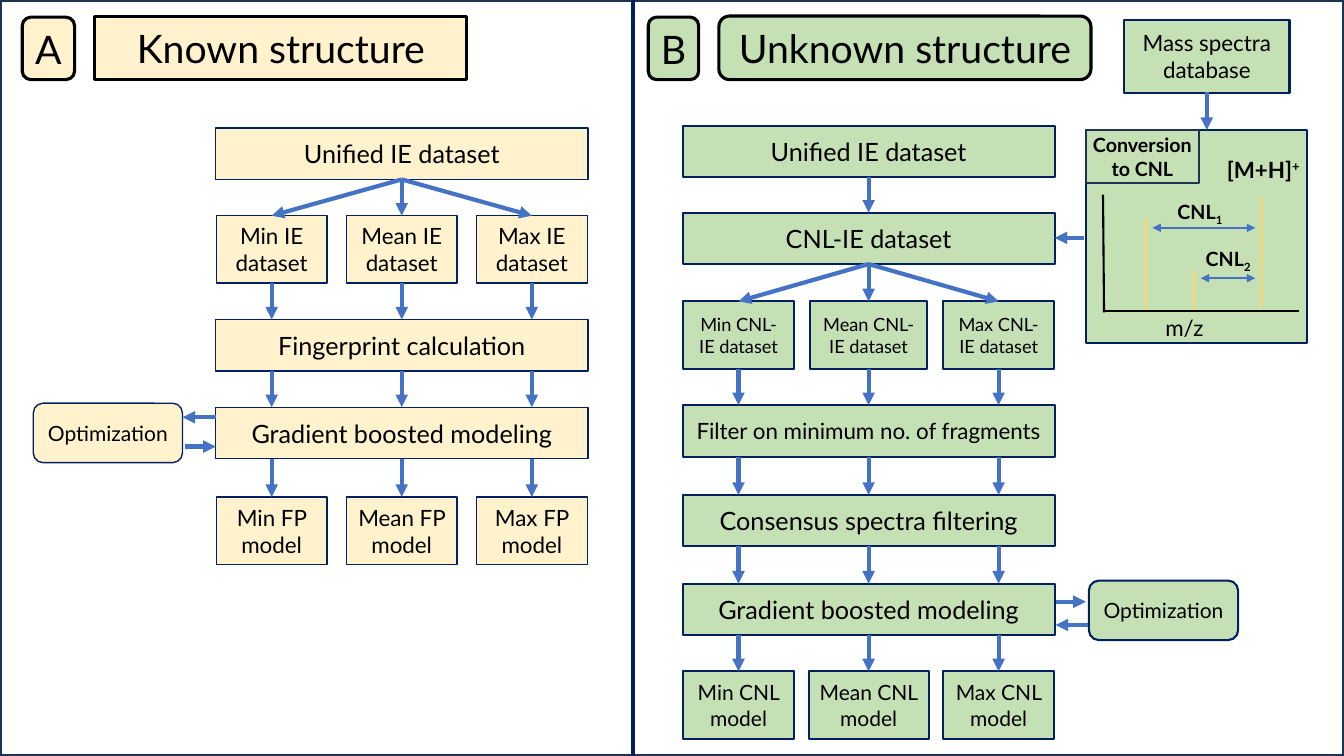
from dataclasses import dataclass
from enum import Enum

from lxml.etree import SubElement
from pptx import Presentation
from pptx.dml.color import RGBColor
from pptx.enum.shapes import MSO_CONNECTOR, MSO_SHAPE
from pptx.enum.text import MSO_ANCHOR, MSO_AUTO_SIZE, PP_ALIGN
from pptx.oxml import parse_xml
from pptx.oxml.ns import nsdecls, qn
from pptx.util import Inches, Pt

FONT = "Lato"
BLACK = RGBColor(0x00, 0x00, 0x00)
NAVY = RGBColor(0x00, 0x20, 0x60)
FRAME_NAVY = RGBColor(0x1E, 0x32, 0x56)
BLUE = RGBColor(0x44, 0x72, 0xC4)
GOLD = RGBColor(0xFF, 0xD9, 0x66)
CREAM = RGBColor(0xFF, 0xF2, 0xCC)
GREEN = RGBColor(0xC5, 0xE0, 0xB4)

BAR_WIDTH, BAR_HEIGHT = 3.69, 0.51
CELL_WIDTH, CELL_HEIGHT = 1.1, 0.67
COLUMN_STEP = 1.29
OPTIMIZATION_WIDTH, OPTIMIZATION_HEIGHT = 1.48, 0.59


class Link(Enum):
    """How a row is reached from the row above it."""
    NONE = 0
    SINGLE = 1
    FAN = 2
    COLUMNS = 3


@dataclass(frozen=True)
class Row:
    labels: tuple[str, ...]
    top: float
    size: float
    link: Link = Link.COLUMNS
    middle_width: float = CELL_WIDTH

    @property
    def height(self) -> float:
        return BAR_HEIGHT if len(self.labels) == 1 else CELL_HEIGHT


@dataclass(frozen=True)
class Workflow:
    left: float
    fill: RGBColor
    line_width: float
    rows: tuple[Row, ...]

    @property
    def columns(self) -> list[float]:
        centre = self.left + BAR_WIDTH / 2
        return [centre + step * COLUMN_STEP for step in (-1, 0, 1)]


@dataclass(frozen=True)
class Line:
    start: tuple[float, float]
    end: tuple[float, float]
    color: RGBColor = BLUE
    width: float = 3
    head: bool = False
    tail: bool = True


@dataclass(frozen=True)
class PeakLabel:
    left: float
    top: float
    width: float
    text: str
    script: str = ""
    baseline: int = -25000
    size: float = 14
    bold: bool = True


KNOWN = Workflow(2.14, CREAM, 1, (
    Row(("Unified IE dataset",), 1.27, 18, Link.NONE),
    Row(("Min IE dataset", "Mean IE dataset", "Max IE dataset"), 2.14, 16, Link.FAN),
    Row(("Fingerprint calculation",), 3.17, 18),
    Row(("Gradient boosted modeling",), 4.04, 18),
    Row(("Min FP model", "Mean FP model", "Max FP model"), 4.93, 16),
))
UNKNOWN = Workflow(6.77, GREEN, 1.5, (
    Row(("Unified IE dataset",), 1.25, 18, Link.NONE),
    Row(("CNL-IE dataset",), 2.11, 18, Link.SINGLE),
    Row(("Min CNL-IE dataset", "Mean CNL-IE dataset", "Max CNL-IE dataset"),
        2.99, 13, Link.FAN, 1.16),
    Row(("Filter on minimum no. of fragments",), 4.02, 16),
    Row(("Consensus spectra filtering",), 4.91, 18),
    Row(("Gradient boosted modeling",), 5.79, 18),
    Row(("Min CNL model", "Mean CNL model", "Max CNL model"), 6.66, 15,
        middle_width=1.19),
))
SIDE_ARROWS = (
    Line((2.14, 4.14), (1.81, 4.14)),
    Line((1.84, 4.43), (2.14, 4.43)),
    Line((10.75, 2.36), (10.46, 2.36)),
    Line((11.97, 0.91), (11.97, 1.29)),
    Line((10.79, 6.2), (10.47, 6.2)),
    Line((10.47, 5.97), (10.77, 5.97)),
)
SPECTRUM_LINES = (
    Line((10.94, 1.93), (10.95, 3.1), BLACK, 1.5, tail=False),
    Line((12.88, 3.09), (10.96, 3.09), BLACK, 1.5, tail=False),
    Line((12.51, 1.94), (12.51, 3.05), GOLD, 1.5, tail=False),
    Line((11.84, 2.69), (11.84, 3.08), GOLD, 1.5, tail=False),
    Line((11.37, 2.17), (11.37, 3.08), GOLD, 1.5, tail=False),
    Line((12.45, 2.26), (11.43, 2.26), width=1.5, head=True),
    Line((12.45, 2.76), (11.91, 2.76), width=1.5, head=True),
)
SPECTRUM_LABELS = (
    PeakLabel(11.46, 3.07, 0.59, "m/z", size=16, bold=False),
    PeakLabel(11.58, 1.93, 0.66, "CNL", "1"),
    PeakLabel(11.86, 2.4, 0.66, "CNL", "2"),
    PeakLabel(12.07, 1.5, 0.94, "[M+H]", "+", 30000, 16),
)


def add_run(paragraph, text: str, size: float, bold: bool = False):
    run = paragraph.add_run()
    run.text = text
    run.font.name = FONT
    run.font.size = Pt(size)
    run.font.bold = bold
    run.font.color.rgb = BLACK
    return run


def style_box(shape, fill: RGBColor, line: RGBColor, line_width: float,
              text: str = "", size: float = 18, bold: bool = False) -> None:
    shape.fill.solid()
    shape.fill.fore_color.rgb = fill
    shape.line.color.rgb = line
    shape.line.width = Pt(line_width)
    if text:
        frame = shape.text_frame
        frame.word_wrap = True
        frame.auto_size = MSO_AUTO_SIZE.NONE
        frame.vertical_anchor = MSO_ANCHOR.MIDDLE
        frame.paragraphs[0].alignment = PP_ALIGN.CENTER
        add_run(frame.paragraphs[0], text, size, bold)


def add_box(slide, left: float, top: float, width: float, height: float,
            kind: MSO_SHAPE = MSO_SHAPE.RECTANGLE):
    box = slide.shapes.add_shape(kind, Inches(left), Inches(top), Inches(width), Inches(height))
    box.shadow.inherit = False
    return box


def add_line(slide, line: Line) -> None:
    connector = slide.shapes.add_connector(
        MSO_CONNECTOR.STRAIGHT, *map(Inches, (*line.start, *line.end)))
    connector.line.color.rgb = line.color
    connector.line.width = Pt(line.width)
    stroke = connector.line._get_or_add_ln()
    for shown, tag in ((line.head, "a:headEnd"), (line.tail, "a:tailEnd")):
        if shown:
            SubElement(stroke, qn(tag), type="triangle")
    SubElement(connector._element.spPr, qn("a:effectLst"))


def add_title(slide) -> None:
    """Give the title placeholder the rounded outline of a panel heading."""
    title = slide.shapes.title
    title.left, title.top, title.width, title.height = map(Inches, (0.94, 0.16, BAR_WIDTH, 0.63))
    title._element.spPr.append(parse_xml(
        f'<a:prstGeom {nsdecls("a")} prst="roundRect"><a:avLst/></a:prstGeom>'))
    style_box(title, CREAM, BLACK, 2.25, "Known structure", 28)


def add_workflow(slide, flow: Workflow) -> None:
    columns = flow.columns
    centre = columns[1]
    bottom = 0.0
    for row in flow.rows:
        if len(row.labels) == 1:
            cells = [(centre, BAR_WIDTH)]
        else:
            cells = list(zip(columns, (CELL_WIDTH, row.middle_width, CELL_WIDTH)))
        for label, (middle, width) in zip(row.labels, cells):
            box = add_box(slide, middle - width / 2, row.top, width, row.height)
            style_box(box, flow.fill, NAVY, flow.line_width, label, row.size)
        ends = {Link.NONE: [], Link.SINGLE: [centre]}.get(row.link, columns)
        for end in ends:
            start = centre if row.link is Link.FAN else end
            add_line(slide, Line((start, bottom), (end, row.top)))
        bottom = row.top + row.height


def add_spectrum(slide) -> None:
    style_box(add_box(slide, 10.77, 1.29, 2.19, 2.11), GREEN, NAVY, 1.5)
    caption = add_box(slide, 10.77, 1.29, 1.12, 0.53)
    style_box(caption, GREEN, FRAME_NAVY, 1.5, "Conversion to CNL", 14, True)
    caption.text_frame.margin_left = caption.text_frame.margin_right = Inches(0.03)
    for line in SPECTRUM_LINES:
        add_line(slide, line)
    for label in SPECTRUM_LABELS:
        box = slide.shapes.add_textbox(*map(Inches, (label.left, label.top, label.width, 0.35)))
        box.text_frame.word_wrap = False
        paragraph = box.text_frame.paragraphs[0]
        add_run(paragraph, label.text, label.size, label.bold)
        if label.script:
            script = add_run(paragraph, label.script, label.size, label.bold)
            script._r.get_or_add_rPr().set("baseline", str(label.baseline))


def main() -> None:
    deck = Presentation()
    deck.slide_width, deck.slide_height = Inches(13.33), Inches(7.5)
    slide = deck.slides.add_slide(deck.slide_layouts[5])
    add_title(slide)
    frame = add_box(slide, 0, 0, 13.33, 7.5)
    frame.fill.background()
    frame.line.color.rgb = FRAME_NAVY
    frame.line.width = Pt(3)
    add_line(slide, Line((6.28, 0), (6.28, 7.5), NAVY, tail=False))

    rounded = MSO_SHAPE.ROUNDED_RECTANGLE
    for text, left, top, width, height, fill in (
            ("A", 0.22, 0.17, 0.52, 0.62, CREAM), ("B", 6.43, 0.17, 0.5, 0.62, GREEN),
            ("Unknown structure", 7.13, 0.16, BAR_WIDTH, 0.63, GREEN)):
        style_box(add_box(slide, left, top, width, height, rounded), fill, BLACK, 2.25, text, 28)
    for flow, left, top in ((KNOWN, 0.33, 4), (UNKNOWN, 10.8, 5.76)):
        add_workflow(slide, flow)
        optimization = add_box(slide, left, top, OPTIMIZATION_WIDTH, OPTIMIZATION_HEIGHT, rounded)
        style_box(optimization, flow.fill, NAVY, flow.line_width, "Optimization", 15)

    database = add_box(slide, 11.15, 0.2, 1.64, 0.72)
    style_box(database, GREEN, NAVY, 1.5, "Mass spectra database", 16)
    add_spectrum(slide)
    for arrow in SIDE_ARROWS:
        add_line(slide, arrow)
    deck.save("out.pptx")


if __name__ == "__main__":
    main()
